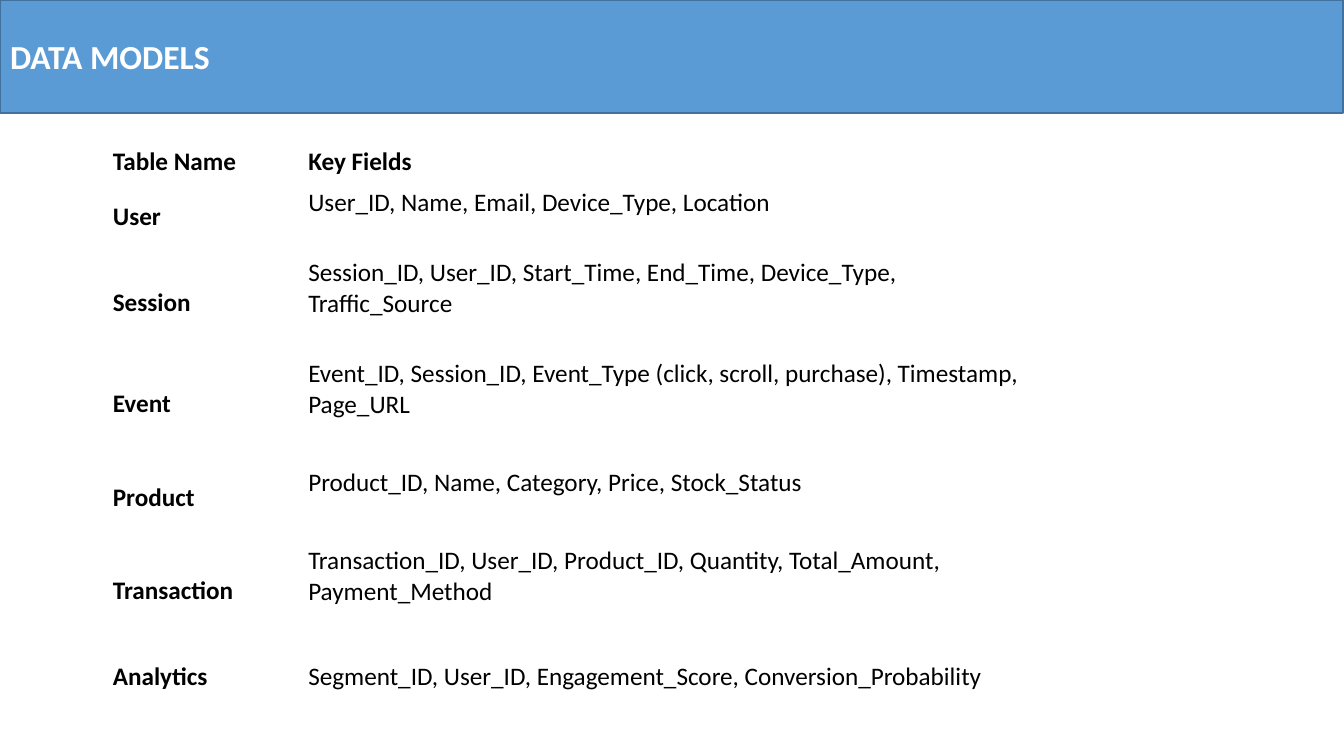
import pptx
import pptx.util
import pptx.dml.color
import pptx.enum.text

Inches = pptx.util.Inches
ANCHOR = pptx.enum.text.MSO_ANCHOR
ALIGN = pptx.enum.text.PP_ALIGN

HEADINGS = ("Table Name", "Key Fields")
MODELS = [
    ("User", "User_ID, Name, Email, Device_Type, Location"),
    ("Session", "Session_ID, User_ID, Start_Time, End_Time, Device_Type, Traffic_Source"),
    ("Event", "Event_ID, Session_ID, Event_Type (click, scroll, purchase), Timestamp, Page_URL"),
    ("Product", "Product_ID, Name, Category, Price, Stock_Status"),
    ("Transaction", "Transaction_ID, User_ID, Product_ID, Quantity, Total_Amount, Payment_Method"),
    ("Analytics", "Segment_ID, User_ID, Engagement_Score, Conversion_Probability"),
]
COLUMN_WIDTHS = (1.94, 7.48)
ROW_HEIGHTS = (0.4, 0.7, 1, 1, 0.86, 1, 0.7)


def color(value):
    return pptx.dml.color.RGBColor.from_string(value)


def add_run(p, text, size, value, bold):
    r = p.add_run()
    r.text = text
    r.font.name = "Calibri"
    r.font.size = pptx.util.Pt(size)
    r.font.bold = bold
    r.font.color.rgb = color(value)


def add_title_band(s, text):
    sp = s.shapes.title
    sp.left, sp.top = Inches(0), Inches(0)
    sp.width, sp.height = Inches(13.33), Inches(1.12)
    sp.fill.solid()
    sp.fill.fore_color.rgb = color("5B9BD5")
    sp.line.color.rgb = color("41719C")
    sp.line.width = pptx.util.Pt(1)
    tf = sp.text_frame
    tf.word_wrap = True
    tf.auto_size = pptx.enum.text.MSO_AUTO_SIZE.NONE
    tf.vertical_anchor = ANCHOR.MIDDLE
    tf.margin_left = tf.margin_right = Inches(0.1)
    tf.margin_top = tf.margin_bottom = Inches(0.05)
    p = tf.paragraphs[0]
    p.alignment = ALIGN.LEFT
    add_run(p, text, 24, "FFFFFF", True)


def fill_cell(cell, text, bold, bottom):
    cell.fill.background()
    cell.vertical_anchor = ANCHOR.MIDDLE
    cell.margin_bottom = Inches(bottom)
    add_run(cell.text_frame.paragraphs[0], text, 18, "000000", bold)


def add_model_table(s):
    rows = [HEADINGS] + MODELS
    frame = s.shapes.add_table(
        len(rows), len(HEADINGS), Inches(1.02), Inches(1.4),
        Inches(sum(COLUMN_WIDTHS)), Inches(sum(ROW_HEIGHTS)))
    table = frame.table
    table.first_row = False
    table.horz_banding = False
    for column, width in zip(table.columns, COLUMN_WIDTHS):
        column.width = Inches(width)
    for i, (name, fields) in enumerate(rows):
        table.rows[i].height = Inches(ROW_HEIGHTS[i])
        is_heading = i == 0
        is_raised = 0 < i < len(rows) - 1
        fill_cell(table.cell(i, 0), name, True, 0.05)
        fill_cell(table.cell(i, 1), fields, is_heading, 0.34 if is_raised else 0.05)


def main():
    prs = pptx.Presentation()
    prs.slide_width, prs.slide_height = Inches(13.34), Inches(7.5)
    s = prs.slides.add_slide(prs.slide_layouts[5])
    add_title_band(s, "DATA MODELS")
    add_model_table(s)
    prs.save("out.pptx")


if __name__ == "__main__":
    main()
